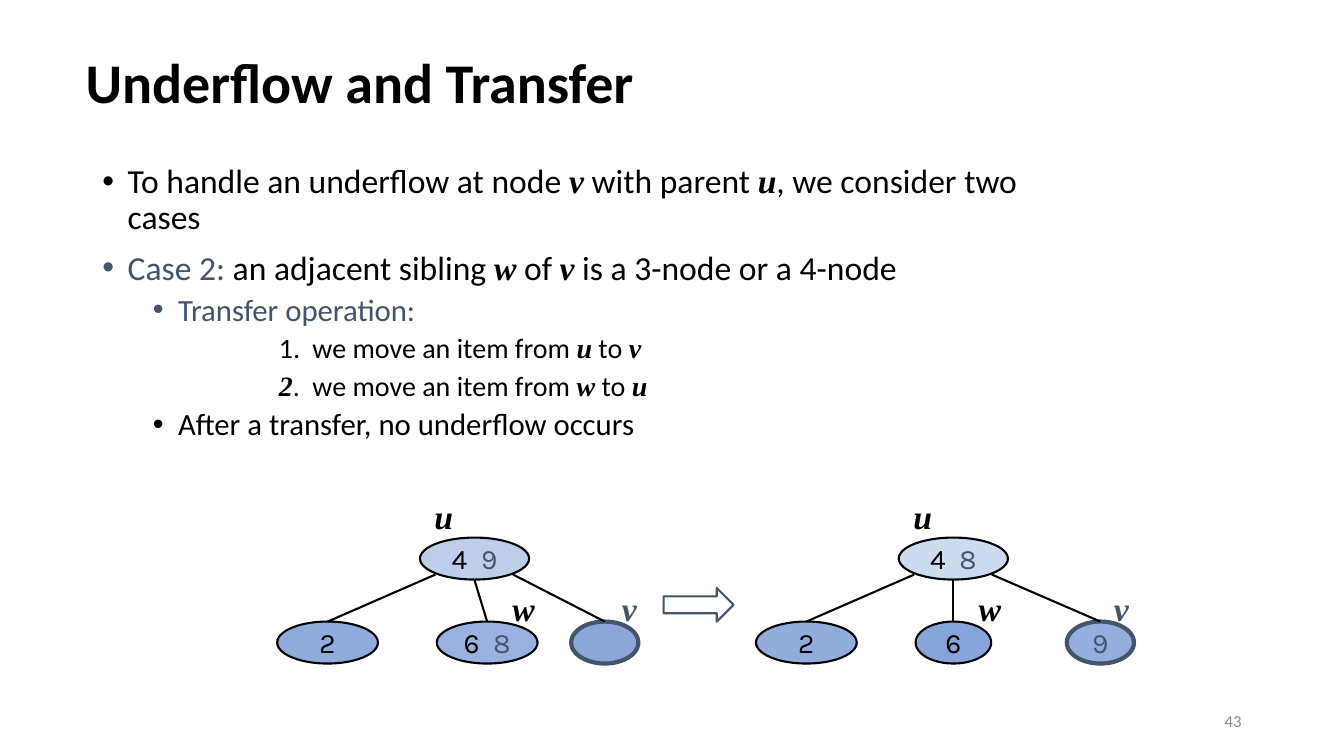
import pptx
import pptx.util
import pptx.dml.color
import pptx.enum.shapes
import pptx.enum.text
import pptx.oxml
import pptx.oxml.ns

Pt = pptx.util.Pt
ALIGN = pptx.enum.text.PP_ALIGN
ANCHOR = pptx.enum.text.MSO_ANCHOR
SHAPES = pptx.enum.shapes.MSO_SHAPE

COLORS = {"black": "000000", "slate": "44546A", "node": "4472C4", "number": "8C8C8C"}
VARIABLE = {"name": "Times New Roman", "bold": True, "italic": True}
SLATE = {"color": "slate"}
GAP = {"tracking": 500}


def rgb(name):
    return pptx.dml.color.RGBColor.from_string(COLORS[name])


def set_values(target, values):
    for name, value in values.items():
        setattr(target, name, value)


def add_child(parent, tag, **attributes):
    child = pptx.oxml.parse_xml(f'<a:{tag} {pptx.oxml.ns.nsdecls("a")}/>')
    for name, value in attributes.items():
        child.set(name, str(value))
    parent.append(child)


class SlideBuilder:
    def __init__(self, slide):
        self.slide = slide
        self.text_style = {"name": "Calibri", "bold": False, "italic": False, "color": "black"}

    def add_runs(self, paragraph, runs, **style):
        for text, changes in runs:
            run = paragraph.add_run()
            run.text = text
            values = {**self.text_style, **style, **changes}
            run.font.color.rgb = rgb(values.pop("color"))
            tracking = values.pop("tracking", None)
            set_values(run.font, values)
            if tracking:
                run.font._element.set("spc", str(tracking))

    def place(self, shape, box, **frame_values):
        sides = ("left", "top", "width", "height")
        set_values(shape, {side: Pt(value) for side, value in zip(sides, box)})
        set_values(shape.text_frame, {"auto_size": pptx.enum.text.MSO_AUTO_SIZE.NONE,
                                      "word_wrap": True, **frame_values})
        return shape.text_frame

    def title(self, box, text):
        frame = self.place(self.slide.shapes.title, box, vertical_anchor=ANCHOR.MIDDLE)
        paragraph = frame.paragraphs[0]
        set_values(paragraph, {"alignment": ALIGN.LEFT, "line_spacing": 0.9})
        self.add_runs(paragraph, [(text, {})], size=Pt(40), bold=True)

    def body(self, box, items):
        levels = {
            "main": {"level": 0, "margin": 18, "hang": 18, "size": 24, "before": 10},
            "sub": {"level": 1, "margin": 54, "hang": 18, "size": 22, "before": 5},
            "step": {"level": 1, "margin": 150, "hang": 24, "size": 20, "before": 5},
        }
        frame = self.place(self.slide.placeholders[1], box, vertical_anchor=ANCHOR.TOP)
        for index, (kind, runs) in enumerate(items):
            paragraph = frame.add_paragraph() if index else frame.paragraphs[0]
            level = levels[kind]
            properties = paragraph._p.get_or_add_pPr()
            properties.set("marL", str(Pt(level["margin"])))
            properties.set("indent", str(-Pt(level["hang"])))
            if kind == "step":
                add_child(properties, "buNone")
            else:
                add_child(properties, "buFont", typeface="Arial")
                add_child(properties, "buChar", char="•")
            set_values(paragraph, {"level": level["level"], "line_spacing": 0.9,
                                   "alignment": ALIGN.LEFT,
                                   "space_before": Pt(level["before"] if index else 0)})
            self.add_runs(paragraph, runs, size=Pt(level["size"]))

    def text(self, box, runs, alignment, **style):
        shape = self.slide.shapes.add_textbox(0, 0, 0, 0)
        frame = self.place(shape, box, vertical_anchor=ANCHOR.MIDDLE)
        frame.paragraphs[0].alignment = alignment
        self.add_runs(frame.paragraphs[0], runs, **style)
        return frame

    def label(self, center, top, text, color="black"):
        frame = self.text((center - 9, top, 18, 29), [(text, VARIABLE)], ALIGN.CENTER,
                          size=Pt(24), color=color)
        margins = ("margin_left", "margin_right", "margin_top", "margin_bottom")
        set_values(frame, {**dict.fromkeys(margins, 0), "word_wrap": False})

    def outline(self, kind, box, color, weight):
        shape = self.slide.shapes.add_shape(kind, *map(Pt, box))
        shape.shadow.inherit = False
        shape.line.color.rgb = rgb(color)
        shape.line.width = Pt(weight)
        return shape

    def node(self, box, opacity, runs, color="black", weight=1.5):
        shape = self.outline(SHAPES.OVAL, box, color, weight)
        shape.fill.solid()
        shape.fill.fore_color.rgb = rgb("node")
        fill_color = shape._element.spPr.find(".//" + pptx.oxml.ns.qn("a:srgbClr"))
        add_child(fill_color, "alpha", val=opacity * 1000)
        set_values(shape.text_frame, {"word_wrap": False, "vertical_anchor": ANCHOR.MIDDLE})
        paragraph = shape.text_frame.paragraphs[0]
        paragraph.alignment = ALIGN.CENTER
        self.add_runs(paragraph, runs, name="Karla", size=Pt(20))
        return shape

    def arrow(self, box):
        self.outline(SHAPES.RIGHT_ARROW, box, "slate", 1.5).fill.background()

    def edge(self, child, end):
        connector = self.slide.shapes.add_connector(
            pptx.enum.shapes.MSO_CONNECTOR.STRAIGHT, 0, 0, *map(Pt, end))
        connector.begin_connect(child, 0)
        connector.line.color.rgb = rgb("black")
        connector.line.width = Pt(1.5)
        add_child(connector._element.spPr, "effectLst")

    def tree(self, left, root, children, labels):
        opacity, runs = root
        self.node((left + 102, 384, 78, 30), opacity, runs)
        ends = ((113, 410.4), (141, 414.6), (168.5, 410.4))
        for (offset, width, child_opacity, child_runs, style), (x, y) in zip(children, ends):
            child = self.node((left + offset, 444, width, 30), child_opacity, child_runs, **style)
            self.edge(child, (left + x, y))
        for text, center, top, color in labels:
            self.label(left + center, top, text, color)


def main():
    presentation = pptx.Presentation()
    presentation.slide_width = Pt(960)
    presentation.slide_height = Pt(540)
    builder = SlideBuilder(presentation.slides.add_slide(presentation.slide_layouts[1]))
    builder.title((54, 16, 613, 90), "Underflow and Transfer")
    u, v, w = ((letter, VARIABLE) for letter in "uvw")
    builder.body((66, 114, 708, 245), [
        ("main", [("To handle an underflow at node ", {}), v, (" with parent ", {}), u,
                  (", we consider two cases", {})]),
        ("main", [("Case 2:", SLATE), (" an adjacent sibling ", {}), w, (" of ", {}), v,
                  (" is a 3-node or a 4-node", {})]),
        ("sub", [("Transfer operation:", SLATE)]),
        ("step", [("1.\twe move an item from ", {}), u, (" to ", {}), v]),
        ("step", [("2", VARIABLE), (".\twe move an item from ", {}), w, (" to ", {}), u]),
        ("sub", [("After a transfer, no underflow occurs", {})]),
    ])
    changed = {"color": "slate", "weight": 3}
    builder.tree(
        198, (35, [("4", {}), (" ", GAP), ("9", SLATE)]),
        [(0, 72, 59, [("2", {})], {}),
         (114, 72, 54, [("6", {}), (" ", GAP), ("8", SLATE)], {}),
         (210, 48, 62, [], changed)],
        [("u", 119, 354, "black"), ("v", 251.5, 420, "slate"), ("w", 176, 420, "black")])
    builder.arrow((474, 420, 50, 24))
    builder.tree(
        540, (26, [("4", {}), (" ", GAP), ("8", SLATE)]),
        [(0, 72, 58, [("2", {})], {}),
         (114, 54, 63, [("6", {})], {}),
         (222, 48, 57, [("9", SLATE)], changed)],
        [("u", 119, 354, "black"), ("v", 261, 420, "slate"), ("w", 167, 420, "black")])
    builder.text((678, 500, 216, 29), [("43", {})], ALIGN.RIGHT, size=Pt(12), color="number")
    presentation.save("out.pptx")


if __name__ == "__main__":
    main()
